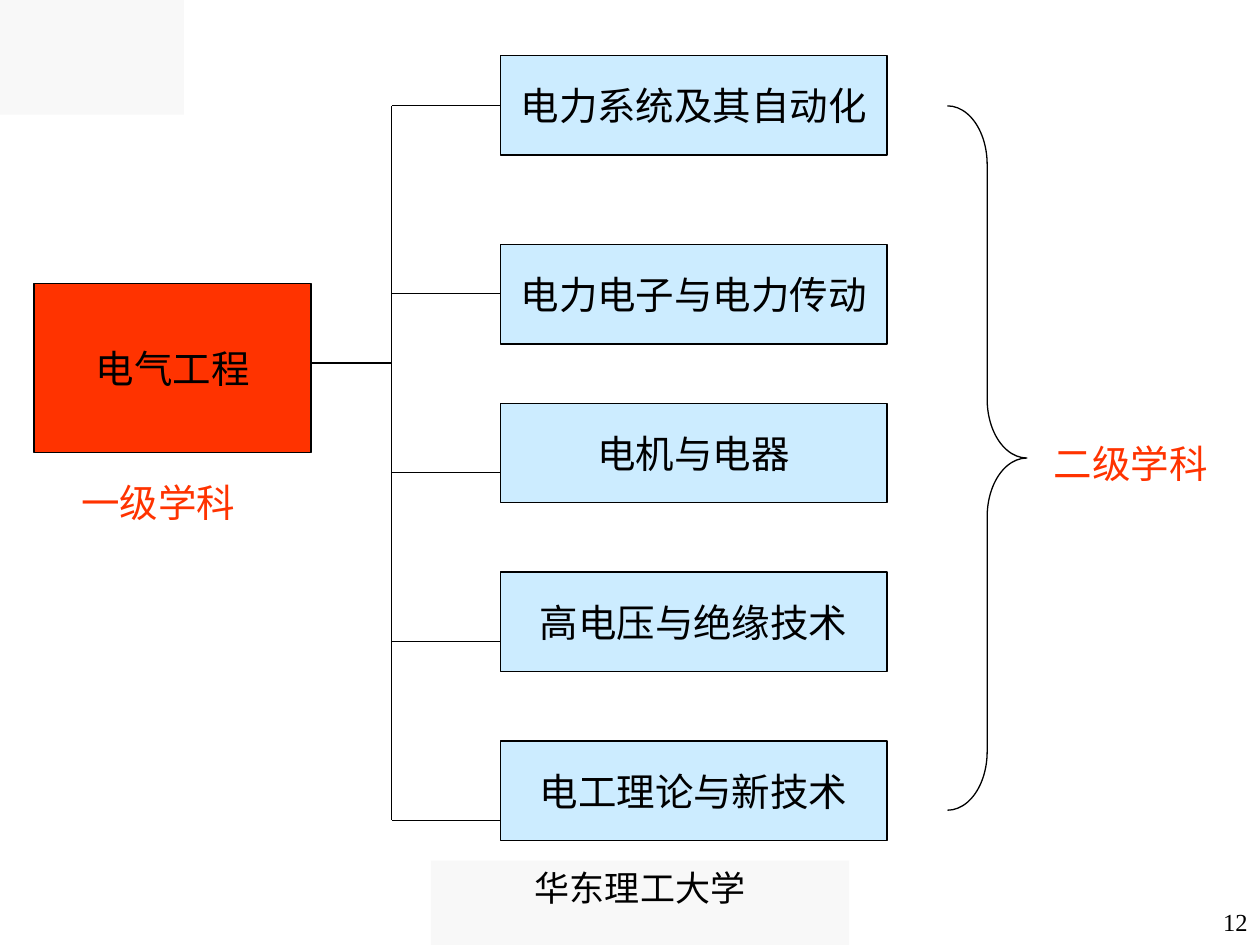
from pptx import Presentation
from pptx.dml.color import RGBColor as RGB
from pptx.enum.shapes import MSO_CONNECTOR as Conn, MSO_SHAPE as Kind
from pptx.enum.text import MSO_ANCHOR as Anchor, PP_ALIGN as Align
from pptx.oxml.ns import qn
from pptx.util import Inches, Pt
from lxml.etree import SubElement

INK = {"black": "000000", "red": "FF3300", "sky": "CCECFF", "gray": "F8F8F8"}
ROOT = ("电气工程", (0.27, 2.25, 2.2, 1.34))
FIELDS = [
    ("电力系统及其自动化", 0.44, 0.84),
    ("电力电子与电力传动", 1.94, 2.33),
    ("电机与电器", 3.2, 3.75),
    ("高电压与绝缘技术", 4.54, 5.09),
    ("电工理论与新技术", 5.88, 6.51),
]
LABELS = [
    ("一级学科", (0.27, 3.67, 1.97, 0.63)),
    ("二级学科", (7.99, 3.36, 1.97, 0.63)),
]
SCHOOL = ("华东理工大学", (3.42, 6.83, 3.32, 0.67))
PAGE = ("12", (7.67, 7.15, 2.33, 0.52))
CORNER = (0, 0, 1.46, 0.91)
BRACE = (7.52, 0.84, 0.63, 5.59)
LEFT, WIDE, HIGH = 3.97, 3.07, 0.79
TRUNK, STEM = 3.11, 2.88

MID = {"vertical_anchor": Anchor.MIDDLE, "word_wrap": False}
TOP = {"vertical_anchor": Anchor.TOP, "word_wrap": True}
BODY = {"name": "Arial", "size": Pt(22)}
FOOT = {"name": "Arial", "size": Pt(20)}
NUM = {"name": "Times New Roman", "size": Pt(14)}


def apply(item, form):
    for key, val in form.items():
        setattr(item, key, val)


def edge(line):
    line.color.rgb = RGB.from_string(INK["black"])
    line.width = Pt(0.75)


def write(shape, text, font=BODY, frame=MID, ink="black", align=Align.CENTER):
    apply(shape.text_frame, frame)
    para = shape.text_frame.paragraphs[0]
    para.alignment = align
    run = para.add_run()
    run.text = text
    apply(run.font, font)
    run.font.color.rgb = RGB.from_string(INK[ink])


def draw(slide, place, fill=None, kind=Kind.RECTANGLE, lined=True):
    shape = slide.shapes.add_shape(kind, *map(Inches, place))
    shape.shadow.inherit = False
    if fill:
        shape.fill.solid()
        shape.fill.fore_color.rgb = RGB.from_string(INK[fill])
    else:
        shape.fill.background()
    if lined:
        edge(shape.line)
    else:
        shape.line.fill.background()
    return shape


def link(slide, *ends):
    line = slide.shapes.add_connector(Conn.STRAIGHT, *map(Inches, ends))
    edge(line.line)
    SubElement(line._element.spPr, qn("a:effectLst"))


def note(slide, text, place, **form):
    write(slide.shapes.add_textbox(*map(Inches, place)), text, **form)


def main():
    deck = Presentation()
    deck.slide_width, deck.slide_height = Inches(10), Inches(7.5)
    slide = deck.slides.add_slide(deck.slide_layouts[6])

    text, place = SCHOOL
    write(draw(slide, place, "gray", lined=False), text, FOOT, TOP)
    draw(slide, CORNER, "gray", lined=False)

    text, place = ROOT
    write(draw(slide, place, "red"), text)
    link(slide, place[0] + place[2], STEM, TRUNK, STEM)
    link(slide, TRUNK, FIELDS[0][2], TRUNK, FIELDS[-1][2])

    for text, top, arm in FIELDS:
        link(slide, TRUNK, arm, LEFT, arm)
        write(draw(slide, (LEFT, top, WIDE, HIGH), "sky"), text)

    brace = draw(slide, BRACE, kind=Kind.RIGHT_BRACE)
    brace.adjustments[0] = 0.74
    for text, place in LABELS:
        note(slide, text, place, ink="red")
    note(slide, *PAGE, font=NUM, frame=TOP, align=Align.RIGHT)
    deck.save("out.pptx")


if __name__ == "__main__":
    main()
